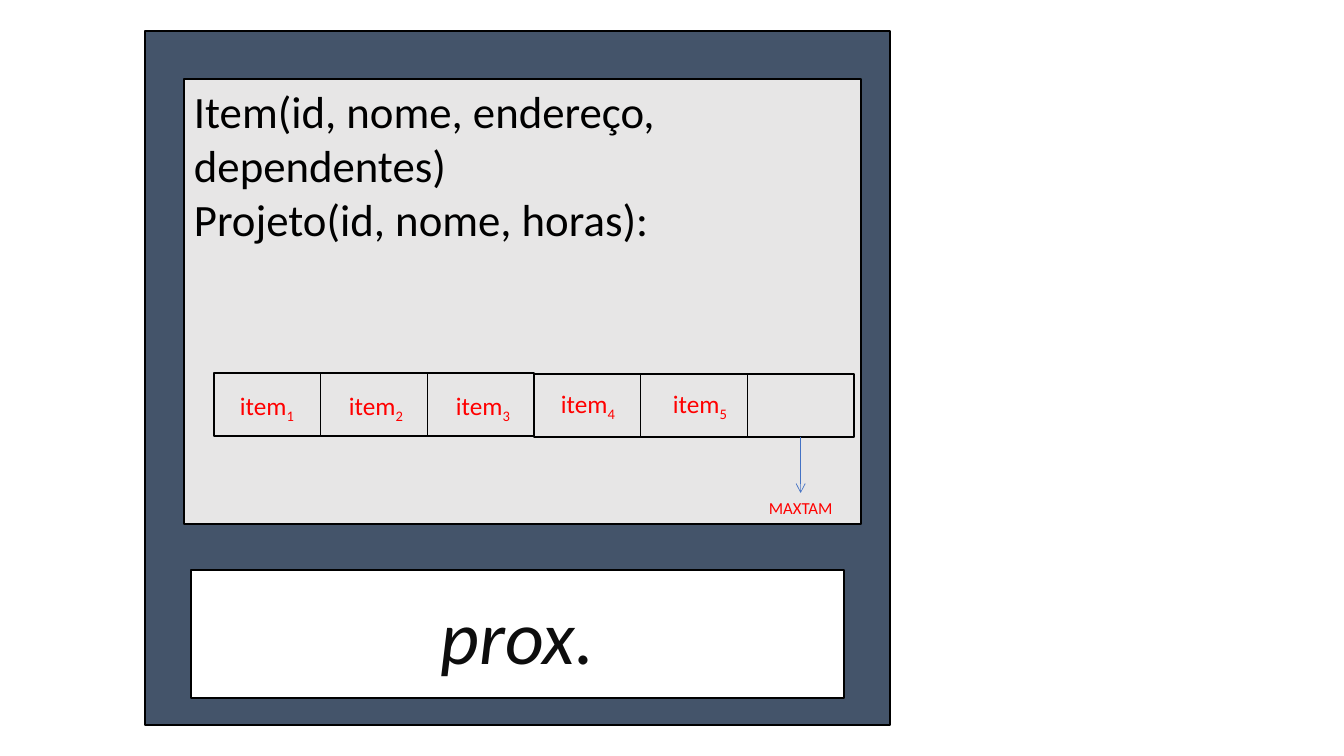
from lxml import etree
from pptx import Presentation
from pptx import util as u
from pptx.dml.color import RGBColor
from pptx.enum import shapes, text
from pptx.oxml.ns import qn

# Content: boxes in px (left, top, width, height)
PAGE_SIZE = (1344, 756)
FRAME = (145, 31, 745, 694)
NEXT_BOX = (191, 570, 653, 128)
ITEM_PANEL = (184, 79, 677, 445)
PANEL_LINES = ["Item(id, nome, endereço, dependentes)", "Projeto(id, nome, horas):"]
NEXT_LABEL = "prox."
LIMIT_LABEL = "MAXTAM"

# Array of six cells; the second half sits one px lower
ARRAY_LEFT, ARRAY_TOP, ARRAY_WIDTH = 214, 373, 640
CELL_COUNT, CELL_HEIGHT = 6, 63
LABELS = [("1", 228, 385), ("2", 337, 385), ("3", 444, 385), ("4", 549, 383), ("5", 661, 383)]
LABEL_SIZE = (78, 40)
ARROW_LENGTH = 56
LIMIT_SIZE = (90, 30)

BLACK, RED = "000000", "FF0000"
PX = 914400 / 100.8


def px(*lengths):
    return [u.Emu(round(length * PX)) for length in lengths]


def color(value):
    return RGBColor.from_string(value)


def add_box(box, fill=None):
    shape = page.shapes.add_shape(shapes.MSO_SHAPE.RECTANGLE, *px(*box))
    shape.shadow.inherit = False
    if fill:
        shape.fill.solid()
        shape.fill.fore_color.rgb = color(fill)
    else:
        shape.fill.background()
    shape.line.color.rgb = color(BLACK)
    shape.line.width = u.Pt(1)
    return shape


def add_label(box):
    return page.shapes.add_textbox(*px(*box))


def write(shape, lines, size, ink, align=text.PP_ALIGN.CENTER,
          anchor=text.MSO_ANCHOR.TOP, italic=None, subscript=None):
    frame = shape.text_frame
    frame.word_wrap = True
    frame.vertical_anchor = anchor
    for index, line in enumerate(lines):
        para = frame.paragraphs[0] if index == 0 else frame.add_paragraph()
        para.alignment = align
        for part in [line, subscript] if subscript else [line]:
            span = para.add_run()
            span.text = part
            look = {"name": "Calibri", "size": u.Pt(size), "italic": italic}
            for key, value in look.items():
                setattr(span.font, key, value)
            span.font.color.rgb = color(ink)
        if subscript:
            span._r.get_or_add_rPr().set("baseline", "-25000")


deck = Presentation()
deck.slide_width, deck.slide_height = px(*PAGE_SIZE)
page = deck.slides.add_slide(deck.slide_layouts[6])

# Frame, next pointer and item panel
add_box(FRAME, "44546A")
write(add_box(NEXT_BOX, "FFFFFF"), [NEXT_LABEL], 54, "0D0D0D",
      anchor=text.MSO_ANCHOR.MIDDLE, italic=True)
write(add_box(ITEM_PANEL, "E7E6E6"), PANEL_LINES, 32, BLACK, align=text.PP_ALIGN.LEFT)

# Array cells and their labels
cell_width = ARRAY_WIDTH / CELL_COUNT
for index in range(CELL_COUNT):
    drop = index // (CELL_COUNT // 2)
    add_box((ARRAY_LEFT + index * cell_width, ARRAY_TOP + drop, cell_width, CELL_HEIGHT))
for number, left, top in LABELS:
    write(add_label((left, top, *LABEL_SIZE)), ["item"], 18, RED, subscript=number)

# Arrow from the last cell to the size limit
arrow_x = ARRAY_LEFT + ARRAY_WIDTH - cell_width / 2
arrow_top = ARRAY_TOP + 1 + CELL_HEIGHT
arrow_end = arrow_top + ARROW_LENGTH
arrow = page.shapes.add_connector(
    shapes.MSO_CONNECTOR.STRAIGHT, *px(arrow_x, arrow_top, arrow_x, arrow_end))
arrow.line.color.rgb = color("4472C4")
arrow.line.width = u.Pt(0.5)
etree.SubElement(arrow.line._get_or_add_ln(), qn("a:tailEnd"), type="arrow")
etree.SubElement(arrow._element.spPr, qn("a:effectLst"))
limit_width, limit_height = LIMIT_SIZE
write(add_label((arrow_x - limit_width / 2, arrow_end, limit_width, limit_height)),
      [LIMIT_LABEL], 12, RED)

deck.save("out.pptx")
